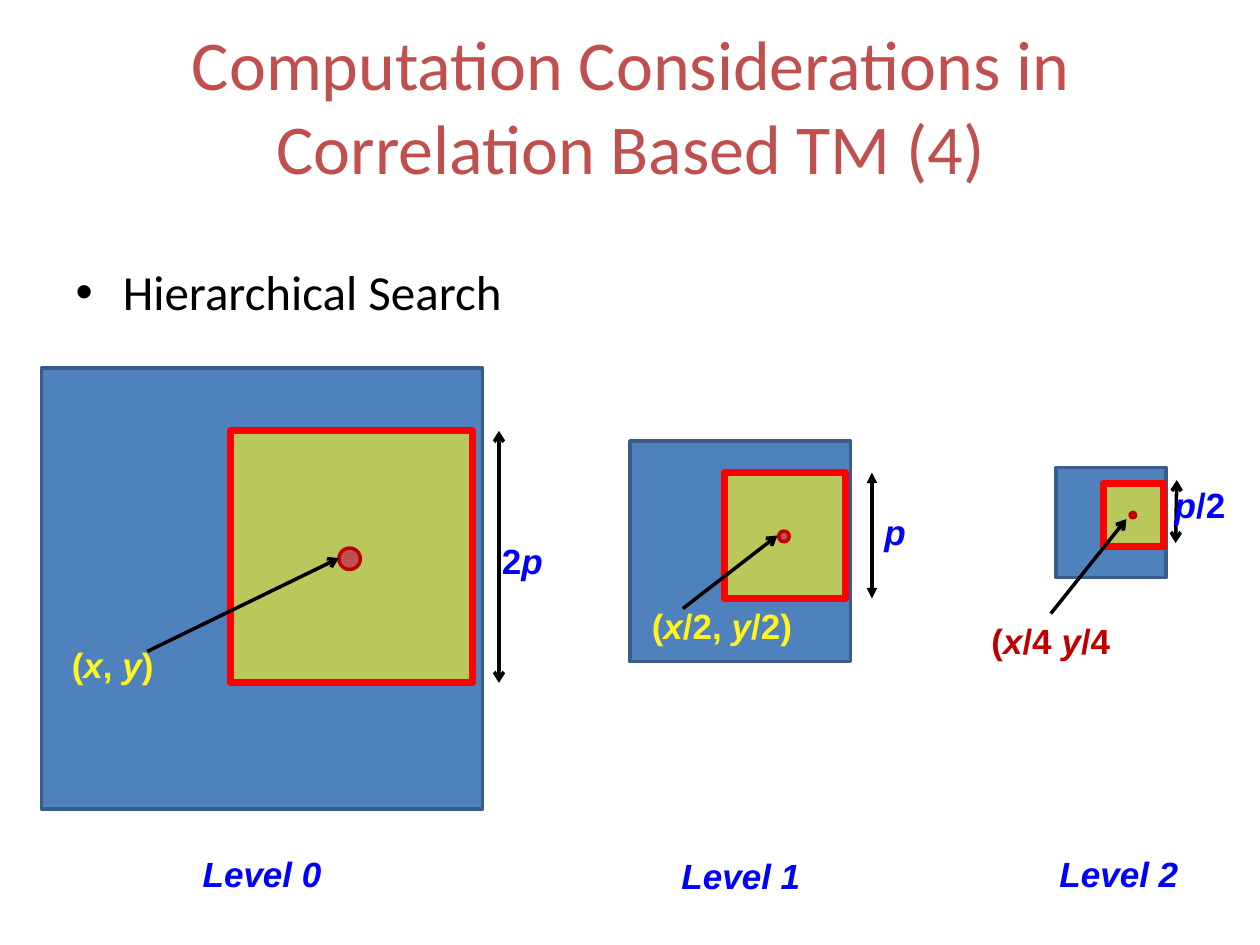
from lxml.etree import SubElement
from pptx import Presentation
from pptx.dml.color import RGBColor
from pptx.enum.shapes import MSO_CONNECTOR, MSO_SHAPE
from pptx.enum.text import MSO_ANCHOR, MSO_AUTO_SIZE, PP_ALIGN
from pptx.oxml.ns import qn
from pptx.util import Inches, Pt


def color(value):
    return RGBColor.from_string(value)


def place(sp, left, top, width, height):
    sp.left, sp.top = Inches(left), Inches(top)
    sp.width, sp.height = Inches(width), Inches(height)


prs = Presentation()
prs.slide_width, prs.slide_height = Inches(10), Inches(7.5)
s = prs.slides.add_slide(prs.slide_layouts[1])

title, body = s.placeholders
place(title, 0.17, 0.33, 9.67, 1)
place(body, 0.5, 2.08, 8.98, 0.67)
for sp, text, size, fill in (
    (title, "Computation Considerations in Correlation Based TM (4)", 40, "C0504D"),
    (body, "Hierarchical Search", 28, "000000"),
):
    tf = sp.text_frame
    tf.text = text
    tf.auto_size = MSO_AUTO_SIZE.NONE
    p = tf.paragraphs[0]
    p.font.name, p.font.size = "Calibri", Pt(size)
    p.font.color.rgb = color(fill)
title.text_frame.vertical_anchor = MSO_ANCHOR.MIDDLE
title.text_frame.paragraphs[0].alignment = PP_ALIGN.CENTER
p = body.text_frame.paragraphs[0]
p.alignment = PP_ALIGN.JUSTIFY
p.line_spacing = 0.9
p.space_before = Pt(0)

# Each level halves the size of the image, search window and match point
for level, (left, top) in enumerate([(0.33, 2.92), (5, 3.5), (8.38, 3.71)]):
    scale = 0.5 ** level
    shapes = s.shapes.add_group_shape().shapes if level else s.shapes
    for kind, dx, dy, width, height, fill, line, weight in (
        (MSO_SHAPE.RECTANGLE, 0, 0, 3.5, 3.5, "4F81BD", "385D8A", 2),
        (MSO_SHAPE.RECTANGLE, 1.5, 0.5, 1.92, 2, "FFF41D", "FF0000", 4),
        (MSO_SHAPE.OVAL, 2.36, 1.43, 0.17, 0.17, "C0504D", "C00000", 2),
    ):
        sp = shapes.add_shape(
            kind, Inches(left + dx * scale), Inches(top + dy * scale),
            Inches(width * scale), Inches(height * scale))
        sp.shadow.inherit = False
        sp.fill.solid()
        sp.fill.fore_color.rgb = color(fill)
        sp.line.color.rgb = color(line)
        sp.line.width = Pt(weight)
        if fill == "FFF41D":
            rgb = sp.fill._xPr.find(".//" + qn("a:srgbClr"))
            SubElement(rgb, qn("a:alpha"), val="61000")

# Pointers to the match points, then window height arrows
for x1, y1, x2, y2, head, tail in (
    (1.17, 5.17, 2.69, 4.43, None, "arrow"),
    (5.42, 4.83, 6.17, 4.25, None, "arrow"),
    (8.34, 4.87, 8.94, 4.12, None, "arrow"),
    (3.96, 3.42, 3.96, 5.42, "arrow", "arrow"),
    (6.92, 3.75, 6.92, 4.75, "triangle", "triangle"),
    (9.34, 3.81, 9.33, 4.31, "arrow", "arrow"),
):
    arrow = s.shapes.add_connector(
        MSO_CONNECTOR.STRAIGHT, Inches(x1), Inches(y1), Inches(x2), Inches(y2))
    arrow.line.color.rgb = color("000000")
    arrow.line.width = Pt(2)
    ln = arrow.line._get_or_add_ln()
    if head:
        SubElement(ln, qn("a:headEnd"), type=head)
    SubElement(ln, qn("a:tailEnd"), type=tail)
    SubElement(arrow._element.spPr, qn("a:effectLst"))

# Variables and level names are italic
ITALIC = {"x", "y", "p", "Level 0", "Level 1", "Level 2"}
for left, top, width, fill, parts in (
    (0.33, 5.06, 1.13, "FFF41D", ["(", "x", ", ", "y", ")"]),
    (4.96, 4.75, 1.54, "FFF41D", ["(", "x", "/2, ", "y", "/2)"]),
    (7.57, 4.87, 1.54, "C00000", ["(", "x", "/4 ", "y", "/4"]),
    (3.83, 4.23, 0.63, "0000FF", ["2", "p"]),
    (6.79, 4, 0.63, "0000FF", ["p"]),
    (9.21, 3.79, 0.63, "0000FF", ["p", "/2"]),
    (1.12, 6.72, 1.92, "0000FF", ["Level 0"]),
    (4.92, 6.73, 1.92, "0000FF", ["Level 1"]),
    (7.92, 6.72, 1.92, "0000FF", ["Level 2"]),
):
    label = s.shapes.add_textbox(Inches(left), Inches(top), Inches(width), Inches(0.44))
    tf = label.text_frame
    tf.word_wrap = True
    tf.auto_size = MSO_AUTO_SIZE.SHAPE_TO_FIT_TEXT
    p = tf.paragraphs[0]
    p.alignment = PP_ALIGN.CENTER
    p.font.name, p.font.size, p.font.bold = "Arial", Pt(20), True
    p.font.color.rgb = color(fill)
    for part in parts:
        r = p.add_run()
        r.text = part
        r.font.italic = part in ITALIC

prs.save("out.pptx")
